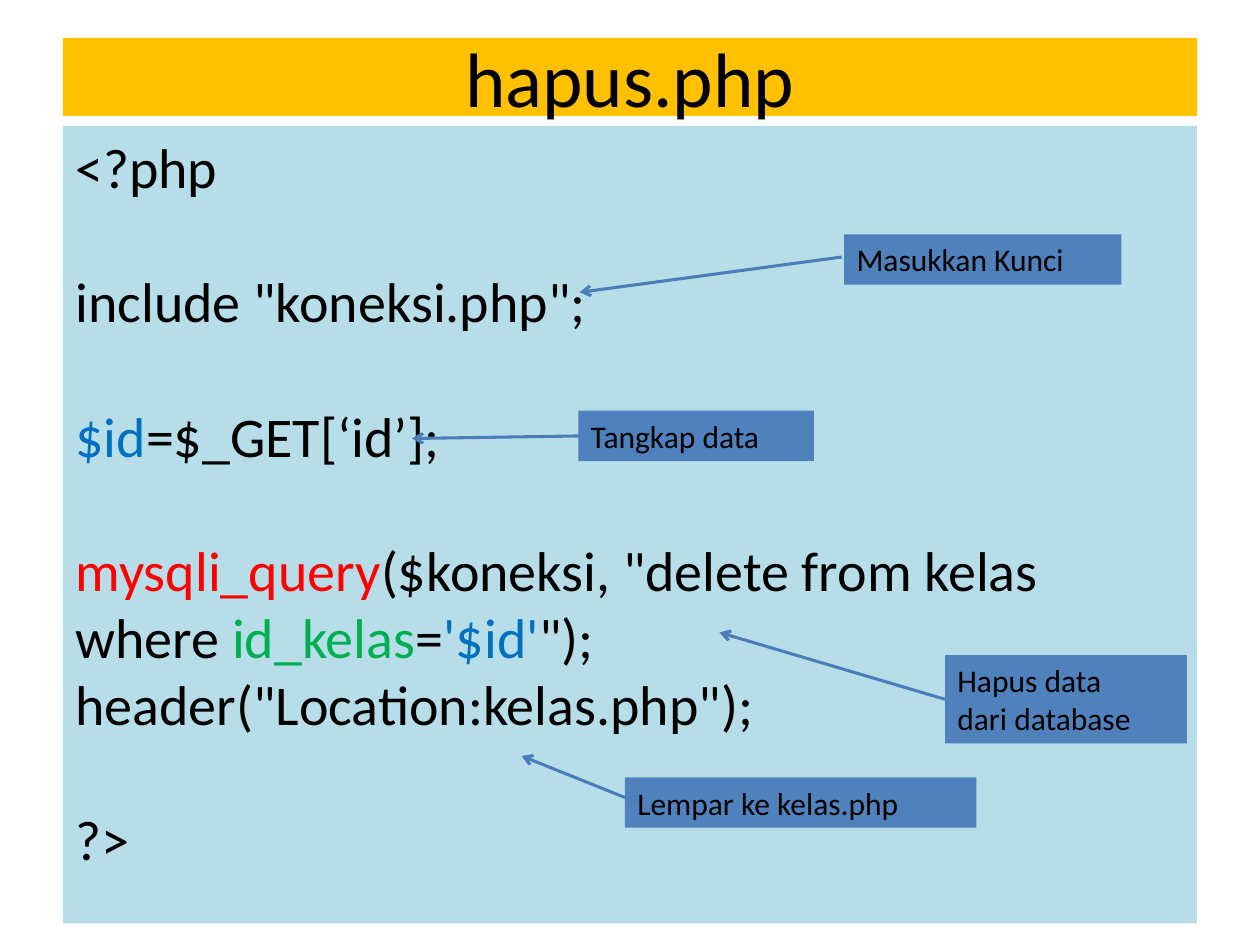
from lxml import etree
from pptx import Presentation
from pptx.dml.color import RGBColor
from pptx.enum import shapes, text
from pptx.oxml.ns import qn
from pptx.util import Inches, Pt

BLACK = "000000"
BLUE = "0070C0"


def add_panel(place, fill, anchor=text.MSO_ANCHOR.TOP):
    box = page.shapes.add_shape(shapes.MSO_SHAPE.RECTANGLE, *map(Inches, place))
    box.shadow.inherit = False
    box.fill.solid()
    box.fill.fore_color.rgb = RGBColor.from_string(fill)
    box.line.fill.background()
    box.text_frame.word_wrap = True
    box.text_frame.vertical_anchor = anchor
    return box.text_frame


def write(para, words, size, color=BLACK, align=text.PP_ALIGN.LEFT):
    para.alignment = align
    for number, line in enumerate(words.split("\n")):
        if number:
            para.add_line_break()
        span = para.add_run()
        span.text = line
        span.font.name = "Calibri"
        span.font.size = Pt(size)
        span.font.color.rgb = RGBColor.from_string(color)


deck = Presentation()
deck.slide_width, deck.slide_height = Inches(10), Inches(7.5)
page = deck.slides.add_slide(deck.slide_layouts[6])

# Title bar
title = add_panel((0.5, 0.3, 9, 0.62), "FFC000", text.MSO_ANCHOR.MIDDLE)
write(title.paragraphs[0], "hapus.php", 44, align=text.PP_ALIGN.CENTER)

# Code listing: empty lines above, then coloured pieces
code = [
    (0, [("<?php", BLACK)]),
    (1, [('include "koneksi.php";', BLACK)]),
    (1, [("$id", BLUE), ("=$_GET[‘id’];", BLACK)]),
    (1, [("mysqli_query", "FF0000"),
         ('($koneksi, "delete from kelas where ', BLACK),
         ("id_kelas", "00B050"), ("=", BLACK),
         ("'$id'", BLUE), ('");', BLACK)]),
    (0, [('header("Location:kelas.php");', BLACK)]),
    (1, [("?>", BLACK)]),
]
line_height = 38.4
listing = add_panel((0.5, 1, 9, 6.33), "B7DEE8")
for number, (gap, pieces) in enumerate(code):
    para = listing.add_paragraph() if number else listing.paragraphs[0]
    para.line_spacing = Pt(line_height)
    para.space_before = Pt(gap * line_height)
    for words, color in pieces:
        write(para, words, 32, color)

# Labels, each with an arrow to the line it explains
labels = [
    ("Masukkan Kunci", (6.7, 1.86, 2.2, 0.4), (6.68, 2.04, 4.6, 2.32)),
    ("Tangkap data", (4.59, 3.26, 1.87, 0.4), (4.6, 3.46, 3.27, 3.48)),
    ("Hapus data\ndari database", (7.5, 5.2, 1.92, 0.7), (7.5, 5.55, 5.71, 5.02)),
    ("Lempar ke kelas.php", (4.96, 6.17, 2.79, 0.4), (5.06, 6.37, 4.14, 6)),
]
for words, place, ends in labels:
    label = add_panel(place, "4F81BD")
    write(label.paragraphs[0], words, 18)
    arrow = page.shapes.add_connector(shapes.MSO_CONNECTOR.STRAIGHT, *map(Inches, ends))
    arrow.line.color.rgb = RGBColor.from_string("4A7EBB")
    arrow.line.width = Pt(1.76)
    etree.SubElement(arrow.line._get_or_add_ln(), qn("a:tailEnd"), type="arrow")
    etree.SubElement(arrow._element.spPr, qn("a:effectLst"))

deck.save("out.pptx")
